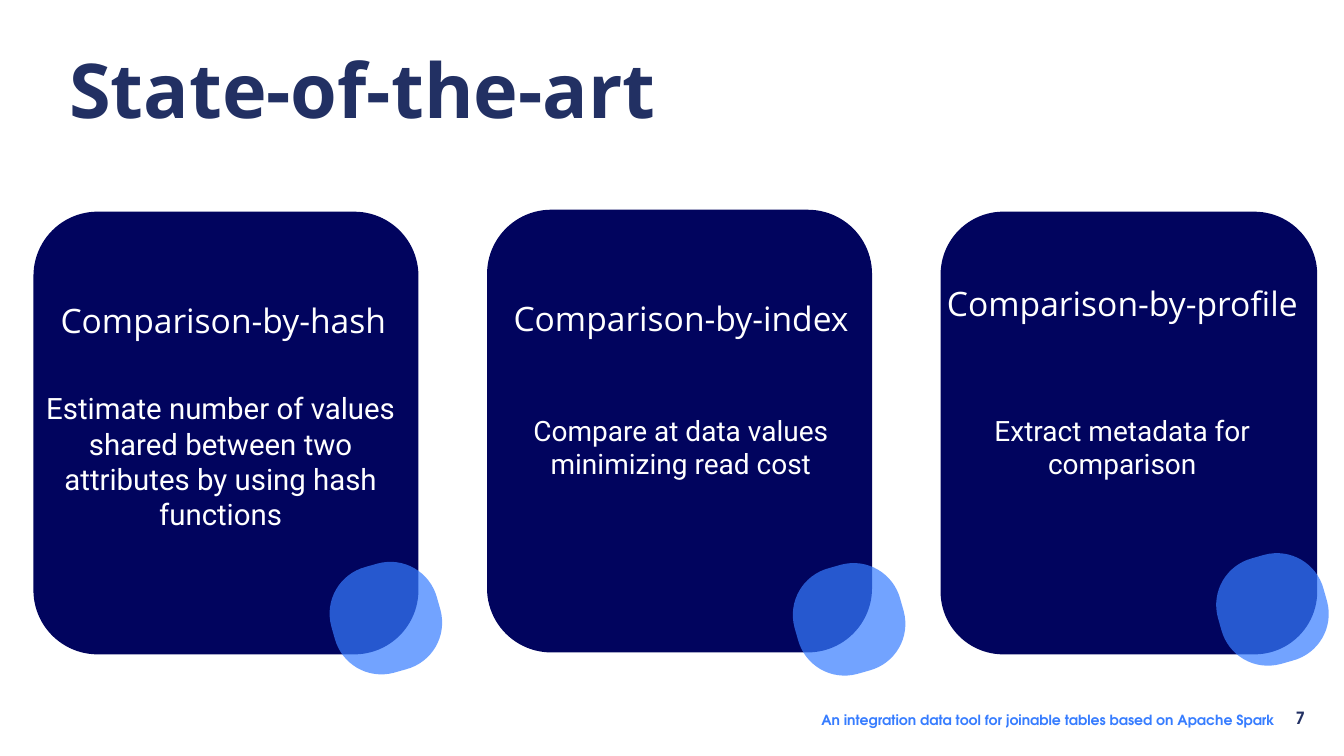
from dataclasses import dataclass
from math import cos, radians, sin

from lxml.etree import SubElement
from pptx import Presentation
from pptx.dml.color import RGBColor
from pptx.enum.shapes import MSO_SHAPE as Shape
from pptx.enum.text import MSO_ANCHOR as Anchor, MSO_AUTO_SIZE as AutoSize, PP_ALIGN as Align
from pptx.oxml.ns import qn
from pptx.slide import Slide
from pptx.text.text import TextFrame
from pptx.util import Pt

NAVY = RGBColor(0x01, 0x04, 0x5E)
INK = RGBColor(0x22, 0x30, 0x63)
BLUE = RGBColor(0x37, 0x7D, 0xFF)
WHITE = RGBColor(0xFF, 0xFF, 0xFF)
HEAD_FONT, BODY_FONT, FOOT_FONT = "Open Sans", "Roboto", "TeX Gyre Adventor"

CARD_LEFT, CARD_STEP, CARD_HEIGHT = 23.9, 324, 316.2
# One rounded corner of the blob as a Bezier curve around its centre
CORNER = ((5.8, 39), (-13, 44), (-31.6, 32.8), (-36.5, 14.6))
BLOB_TURN = 30

Box = tuple[float, float, float, float]
Point = tuple[float, float]


@dataclass
class Card:
    heading: str
    body: str
    top: float
    width: float
    heading_box: Box
    body_box: Box
    body_size: float
    blob_centre: Point


CARDS = [
    Card("Comparison-by-hash",
         "Estimate number of values shared between two attributes by using hash functions",
         151.2, 275, (34.2, 210.5, 250.6, 36), (23.7, 275, 267.8, 108.7), 21, (275.6, 441.5)),
    Card("Comparison-by-index", "Compare at data values minimizing read cost",
         149.8, 275, (357.6, 209.5, 257.8, 36), (361.5, 291.6, 249.8, 55.4), 20, (606.5, 442.4)),
    Card("Comparison-by-profile", "Extract metadata for comparison",
         151.2, 269, (667.1, 198.3, 269.3, 36), (676.8, 291.6, 249.8, 55.4), 20, (908.9, 435.3)),
]


def fill_text(tf: TextFrame, text: str, size: float, font: str, color: RGBColor,
              bold: bool = False, wrap: bool = True, align: Align = Align.CENTER) -> None:
    tf.text = text
    tf.word_wrap = wrap
    tf.auto_size = AutoSize.NONE
    tf.vertical_anchor = Anchor.MIDDLE
    p = tf.paragraphs[0]
    p.alignment = align
    r = p.runs[0]
    r.font.size, r.font.name, r.font.bold = Pt(size), font, bold
    r.font.color.rgb = color


def add_text(s: Slide, box: Box, *args, **kwargs) -> TextFrame:
    tf = s.shapes.add_textbox(*map(Pt, box)).text_frame
    fill_text(tf, *args, **kwargs)
    return tf


def turn(point: Point, degrees: float) -> Point:
    x, y = point
    c, d = cos(radians(degrees)), sin(radians(degrees))
    return x * c - y * d, x * d + y * c


def blob_points(centre: Point) -> list[Point]:
    """Start point, then three control points for each of eight curves."""
    offsets = [CORNER[0]]
    for quarter in range(4):
        side_end = turn(CORNER[0], 90)
        offsets += [turn(c, 90 * quarter) for c in (*CORNER[1:], *[side_end] * 3)]
    turned = [turn(offset, -BLOB_TURN) for offset in offsets]
    return [(Pt(centre[0] + x), Pt(centre[1] + y)) for x, y in turned]


def add_blob(s: Slide, centre: Point) -> None:
    start, *controls = blob_points(centre)
    builder = s.shapes.build_freeform(*start)
    builder.add_line_segments(controls, close=True)
    sp = builder.convert_to_shape()
    sp.rotation = BLOB_TURN
    sp.shadow.inherit = False
    sp.fill.solid()
    sp.fill.fore_color.rgb = BLUE
    sp.line.fill.background()

    # Every three points form one curve
    lines = list(sp.element.iter(qn("a:lnTo")))
    for i in range(0, len(lines), 3):
        lines[i].tag = qn("a:cubicBezTo")
        for line in lines[i + 1:i + 3]:
            lines[i].append(line[0])
            line.getparent().remove(line)

    color = next(sp.element.spPr.iter(qn("a:srgbClr")))
    SubElement(color, qn("a:alpha")).set("val", "70000")


def add_card(s: Slide, left: float, card: Card) -> None:
    sp = s.shapes.add_shape(Shape.ROUNDED_RECTANGLE, Pt(left), Pt(card.top),
                            Pt(card.width), Pt(CARD_HEIGHT))
    sp.shadow.inherit = False
    sp.fill.solid()
    sp.fill.fore_color.rgb = NAVY
    sp.line.fill.background()
    add_blob(s, card.blob_centre)
    add_text(s, card.body_box, card.body, card.body_size, BODY_FONT, WHITE)
    add_text(s, card.heading_box, card.heading, 24, HEAD_FONT, WHITE, wrap=False)


def main() -> None:
    prs = Presentation()
    prs.slide_width, prs.slide_height = Pt(960), Pt(540)
    s = prs.slides.add_slide(prs.slide_layouts[5])

    # Title
    title = s.shapes.title
    title.left, title.top, title.width, title.height = Pt(-1.7), Pt(26.8), Pt(521.3), Pt(72.7)
    fill_text(title.text_frame, "State-of-the-art", 54, HEAD_FONT, INK, bold=True)

    # Cards
    for i, card in enumerate(CARDS):
        add_card(s, CARD_LEFT + i * CARD_STEP, card)

    # Footer and page number
    add_text(s, (579.6, 504.7, 342.7, 19.4),
             "An integration data tool for joinable tables based on Apache Spark",
             10, FOOT_FONT, BLUE, bold=True, wrap=False, align=Align.LEFT)
    tf = add_text(s, (922.3, 501.1, 13, 23), "7", 12, FOOT_FONT, INK, bold=True, wrap=False)
    tf.margin_left = tf.margin_right = Pt(5)
    tf.margin_top = tf.margin_bottom = Pt(2.2)

    prs.save("out.pptx")


if __name__ == "__main__":
    main()
